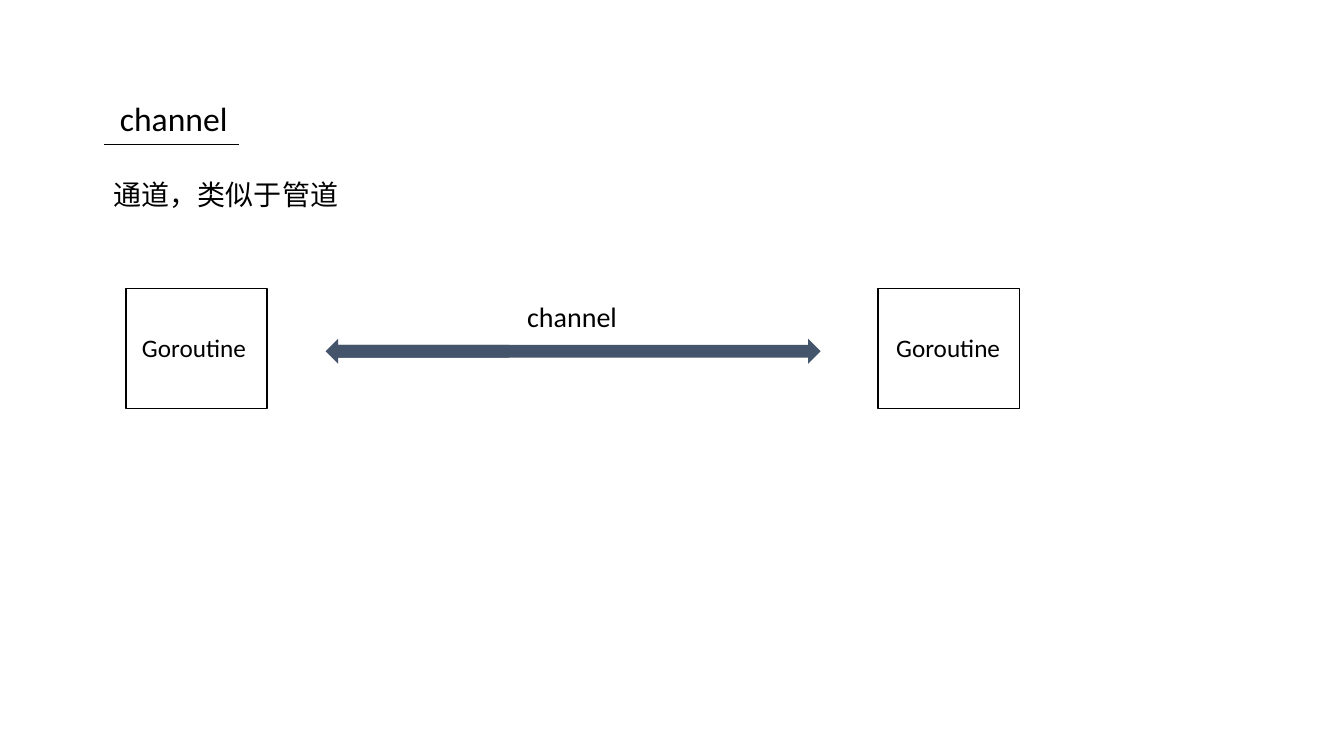
from lxml import etree
from pptx import Presentation
from pptx.dml.color import RGBColor
from pptx.enum.shapes import MSO_CONNECTOR, MSO_SHAPE
from pptx.enum.text import MSO_AUTO_SIZE
from pptx.oxml.ns import qn
from pptx.util import Inches, Pt

RECTANGLE = MSO_SHAPE.RECTANGLE
RIGHT_ARROW = MSO_SHAPE.RIGHT_ARROW
STRAIGHT = MSO_CONNECTOR.STRAIGHT
FIT_SHAPE = MSO_AUTO_SIZE.SHAPE_TO_FIT_TEXT
FONT = "Calibri"
BLACK = "000000"
SLATE = "44546A"


def color(value):
    """Turn a hex string into a colour."""
    return RGBColor.from_string(value)


def add_label(slide, text, left, top, width, height, size, wrap=False):
    """Add a one-line text box that grows with its text."""
    label = slide.shapes.add_textbox(
        Inches(left), Inches(top), Inches(width), Inches(height))
    frame = label.text_frame
    frame.word_wrap = wrap
    frame.auto_size = FIT_SHAPE
    run = frame.paragraphs[0].add_run()
    run.text = text
    run.font.name = FONT
    run.font.size = Pt(size)
    run.font.color.rgb = color(BLACK)


def add_heading(slide, left, top):
    """Add the underlined title and the definition below it."""
    add_label(slide, "channel", left + 0.06, top, 1.28, 0.5, 24)
    underline_y = Inches(top + 0.51)
    underline = slide.shapes.add_connector(
        STRAIGHT, Inches(left + 1.34), underline_y, Inches(left), underline_y)
    underline.line.color.rgb = color(BLACK)
    underline.line.width = Pt(0.5)
    etree.SubElement(underline._element.spPr, qn("a:effectLst"))
    add_label(slide, "通道，类似于管道", left, top + 0.79, 6.43, 0.44, 20, wrap=True)


def add_goroutine(slide, left, top, label_offset):
    """Add an outlined goroutine box with its label."""
    goroutine = slide.shapes.add_shape(
        RECTANGLE, Inches(left), Inches(top), Inches(1.4), Inches(1.19))
    goroutine.shadow.inherit = False
    goroutine.fill.background()
    goroutine.line.color.rgb = color(BLACK)
    goroutine.line.width = Pt(1)
    add_label(slide, "Goroutine", left + label_offset, top + 0.39, 1.25, 0.4, 18)


def add_arrow(slide, left, top, width, flipped=False):
    """Add a solid block arrow, mirrored when flipped."""
    arrow = slide.shapes.add_shape(
        RIGHT_ARROW, Inches(left), Inches(top), Inches(width), Inches(0.25))
    arrow.shadow.inherit = False
    arrow.fill.solid()
    arrow.fill.fore_color.rgb = color(SLATE)
    arrow.line.fill.background()
    if flipped:
        arrow._element.spPr.find(qn("a:xfrm")).set("flipH", "1")


def add_channel_diagram(slide, left, top):
    """Add two goroutines joined by a two-way channel."""
    add_goroutine(slide, left, top, 0.06)
    add_goroutine(slide, left + 7.46, top, 0.08)
    add_arrow(slide, left + 1.98, top + 0.5, 1.82, flipped=True)
    add_arrow(slide, left + 2.06, top + 0.5, 4.83)
    add_label(slide, "channel", left + 3.88, top + 0.06, 1.1, 0.44, 20)


def main():
    """Build and save the slide."""
    deck = Presentation()
    deck.slide_width = Inches(13.33)
    deck.slide_height = Inches(7.5)
    slide = deck.slides.add_slide(deck.slide_layouts[6])
    add_heading(slide, 1.03, 0.92)
    add_channel_diagram(slide, 1.25, 2.86)
    deck.save("out.pptx")


if __name__ == "__main__":
    main()
